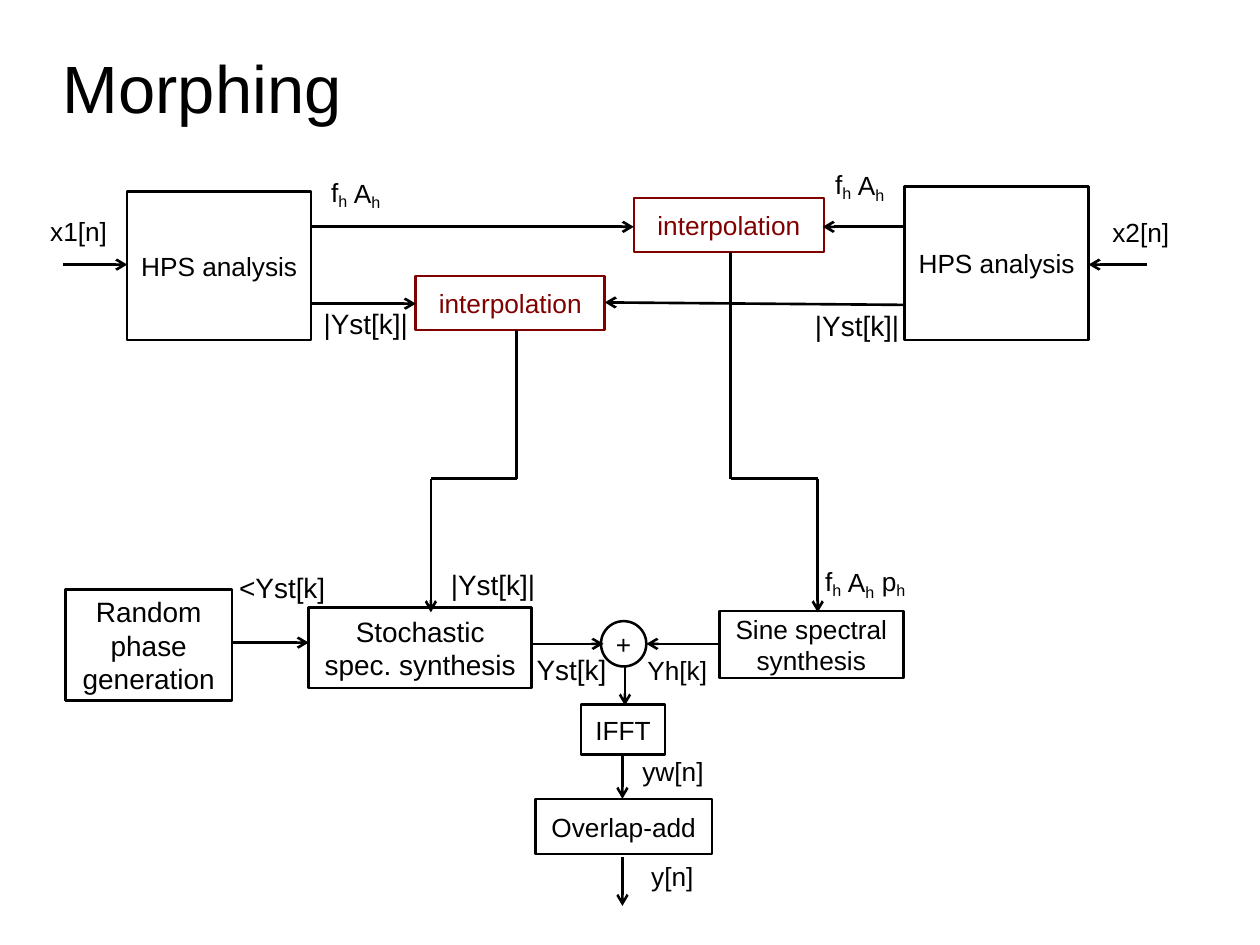
from lxml import etree
from pptx import Presentation
from pptx.dml.color import RGBColor
from pptx.enum.shapes import MSO_CONNECTOR, MSO_SHAPE
from pptx.enum.text import MSO_ANCHOR, MSO_AUTO_SIZE, PP_ALIGN
from pptx.oxml.ns import qn
from pptx.util import Inches, Pt

RECT = MSO_SHAPE.RECTANGLE
OVAL = MSO_SHAPE.OVAL
LINE = MSO_CONNECTOR.STRAIGHT
GROW = MSO_AUTO_SIZE.SHAPE_TO_FIT_TEXT
LEFT = PP_ALIGN.LEFT
MID = PP_ALIGN.CENTER
TOP = MSO_ANCHOR.TOP
CORE = MSO_ANCHOR.MIDDLE
BLACK = "000000"
RED = "800000"

deck = Presentation()
deck.slide_width = Inches(10)
deck.slide_height = Inches(7.5)
slide = deck.slides.add_slide(deck.slide_layouts[6])


def write(text, spot, form=None, size=15, color=BLACK, wrap=False,
          align=LEFT, anchor=TOP, pad=(0.1, 0.05), space=0.93):
    place = [Inches(n) for n in spot]
    tint = RGBColor.from_string(color)
    if form is None:
        shape = slide.shapes.add_textbox(*place)
    else:
        shape = slide.shapes.add_shape(form, *place)
        shape.shadow.inherit = False
        shape.fill.background()
        shape.line.color.rgb = tint
        shape.line.width = Pt(1.45)
    frame = shape.text_frame
    frame.word_wrap = wrap
    if form is None and not wrap:
        frame.auto_size = GROW
    frame.vertical_anchor = anchor
    frame.margin_left = frame.margin_right = Inches(pad[0])
    frame.margin_top = frame.margin_bottom = Inches(pad[1])
    for i, row in enumerate(text.split("\n")):
        para = frame.paragraphs[0] if i == 0 else frame.add_paragraph()
        para.alignment = align
        para.line_spacing = space
        for j, part in enumerate(row.split("_")):
            run = para.add_run()
            run.text = part
            run.font.name = "Arial"
            run.font.size = Pt(15.8 if j else size)
            run.font.color.rgb = tint
            if j:
                run._r.get_or_add_rPr().set("baseline", "-20000")


def wire(x1, y1, x2, y2, tip=True, width=1.5):
    line = slide.shapes.add_connector(
        LINE, Inches(x1), Inches(y1), Inches(x2), Inches(y2))
    line.line.color.rgb = RGBColor.from_string(BLACK)
    line.line.width = Pt(width)
    props = line._element.spPr
    if tip:
        etree.SubElement(props.find(qn("a:ln")), qn("a:tailEnd"), type="arrow")
    etree.SubElement(props, qn("a:effectLst"))


write("Morphing", (0.5, 0.06, 9, 1.25), size=38.2, wrap=True,
      anchor=CORE, pad=(0, 0), space=1)

boxes = [
    ("HPS analysis", (1.01, 1.52, 1.46, 1.18), 15, BLACK),
    ("HPS analysis", (7.18, 1.48, 1.46, 1.22), 15, BLACK),
    ("interpolation", (3.3, 2.19, 1.5, 0.43), 15, RED),
    ("interpolation", (5.03, 1.57, 1.51, 0.43), 15, RED),
    ("Random phase generation", (0.52, 4.68, 1.32, 0.88), 16, BLACK),
    ("Stochastic\nspec. synthesis", (2.45, 4.82, 1.77, 0.64), 16, BLACK),
    ("Sine spectral\nsynthesis", (5.71, 4.85, 1.46, 0.53), 15, BLACK),
    ("IFFT", (4.61, 5.59, 0.67, 0.4), 15, BLACK),
    ("Overlap-add", (4.25, 6.34, 1.4, 0.44), 15, BLACK),
]
for text, spot, size, color in boxes:
    write(text, spot, form=RECT, size=size, color=color, wrap=True,
          align=MID, anchor=CORE, space=1)
write("+", (4.77, 4.93, 0.36, 0.36), form=OVAL, align=MID, anchor=CORE,
      pad=(0, 0), space=1)

labels = [
    ("x1[n]", (0.3, 1.68, 0.65, 0.34), 15),
    ("x2[n]", (8.73, 1.69, 0.65, 0.34), 15),
    ("Yh[k]", (5.04, 5.17, 0.7, 0.33), 15),
    ("yw[n]", (5, 5.97, 0.71, 0.34), 15),
    ("y[n]", (5.07, 6.8, 0.54, 0.34), 15),
    ("<Yst[k]", (1.8, 4.5, 0.92, 0.48), 16),
    ("Yst[k]", (4.16, 5.15, 0.85, 0.48), 16),
    ("|Yst[k]|", (2.47, 2.41, 0.87, 0.42), 16),
    ("|Yst[k]|", (6.37, 2.42, 0.87, 0.42), 16),
    ("|Yst[k]|", (3.48, 4.48, 0.87, 0.42), 16),
]
for text, spot, size in labels:
    write(text, spot, size=size)

for x, y in [(2.53, 1.34), (6.53, 1.28), (6.45, 4.43)]:
    write("f_h", (x, y, 0.33, 0.37))
    write("A_h", (x + 0.18, y + 0.01, 0.41, 0.37))
write("p_h", (6.9, 4.43, 0.42, 0.37))

arrows = [
    (0.5, 2.1, 1.01, 2.1),
    (9.1, 2.1, 8.64, 2.1),
    (2.47, 1.8, 5.03, 1.8),
    (7.18, 1.8, 6.53, 1.8),
    (2.47, 2.41, 3.3, 2.41),
    (7.18, 2.42, 4.8, 2.4),
    (1.84, 5.1, 2.45, 5.1),
]
for ends in arrows:
    wire(*ends)

for start, top, end in [(4.1, 2.62, 3.42), (5.8, 2, 6.49)]:
    wire(start, top, start, 3.8, tip=False)
    wire(start, 3.8, end, 3.8, tip=False)
    wire(end, 3.8, end, 4.86)

flow = [
    (4.22, 5.11, 4.79, 5.11),
    (5.71, 5.11, 5.13, 5.11),
    (4.96, 5.29, 4.96, 5.6),
    (4.94, 6, 4.94, 6.34),
    (4.94, 6.8, 4.94, 7.19),
]
for ends in flow:
    wire(*ends, width=1.45)

deck.save("out.pptx")
